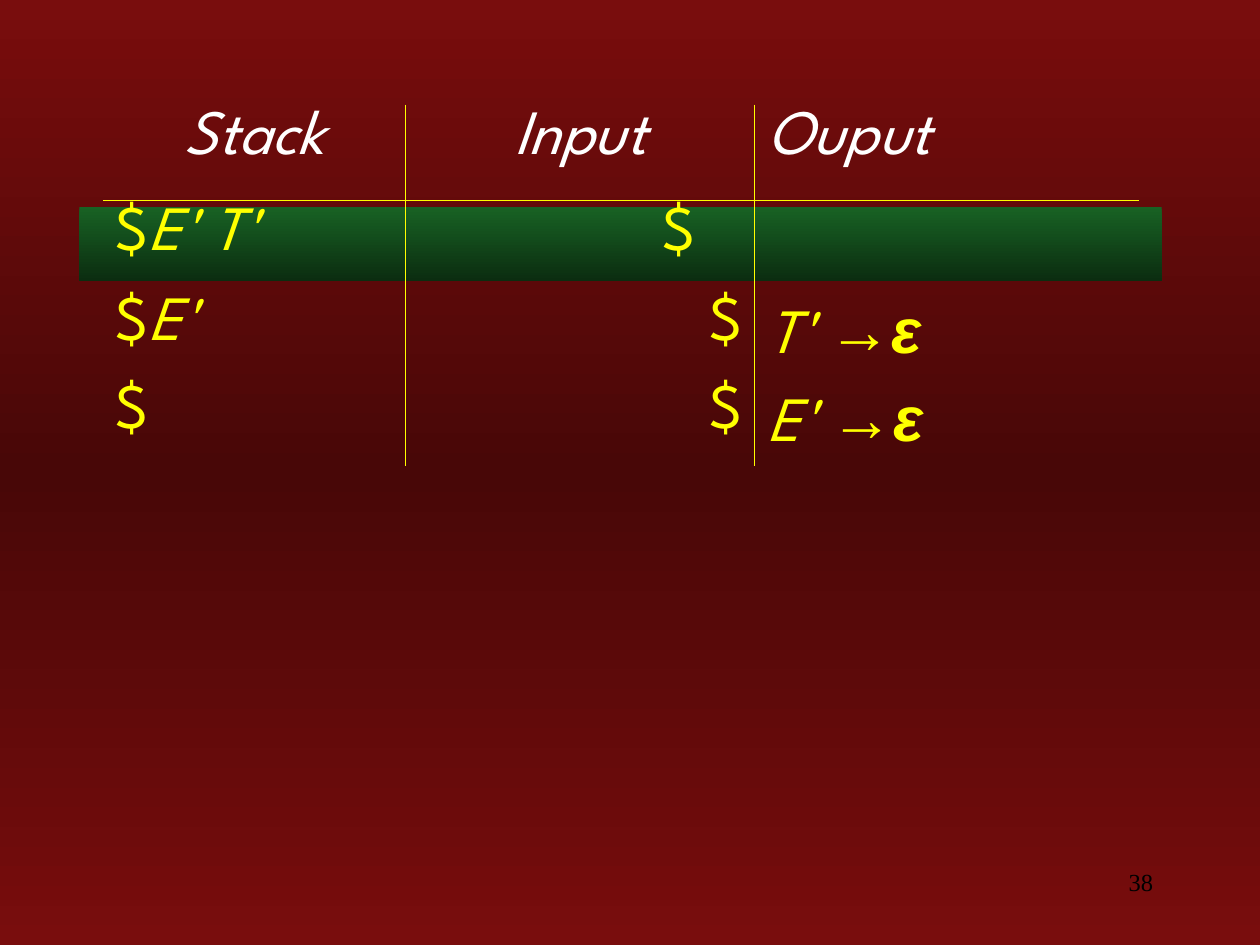
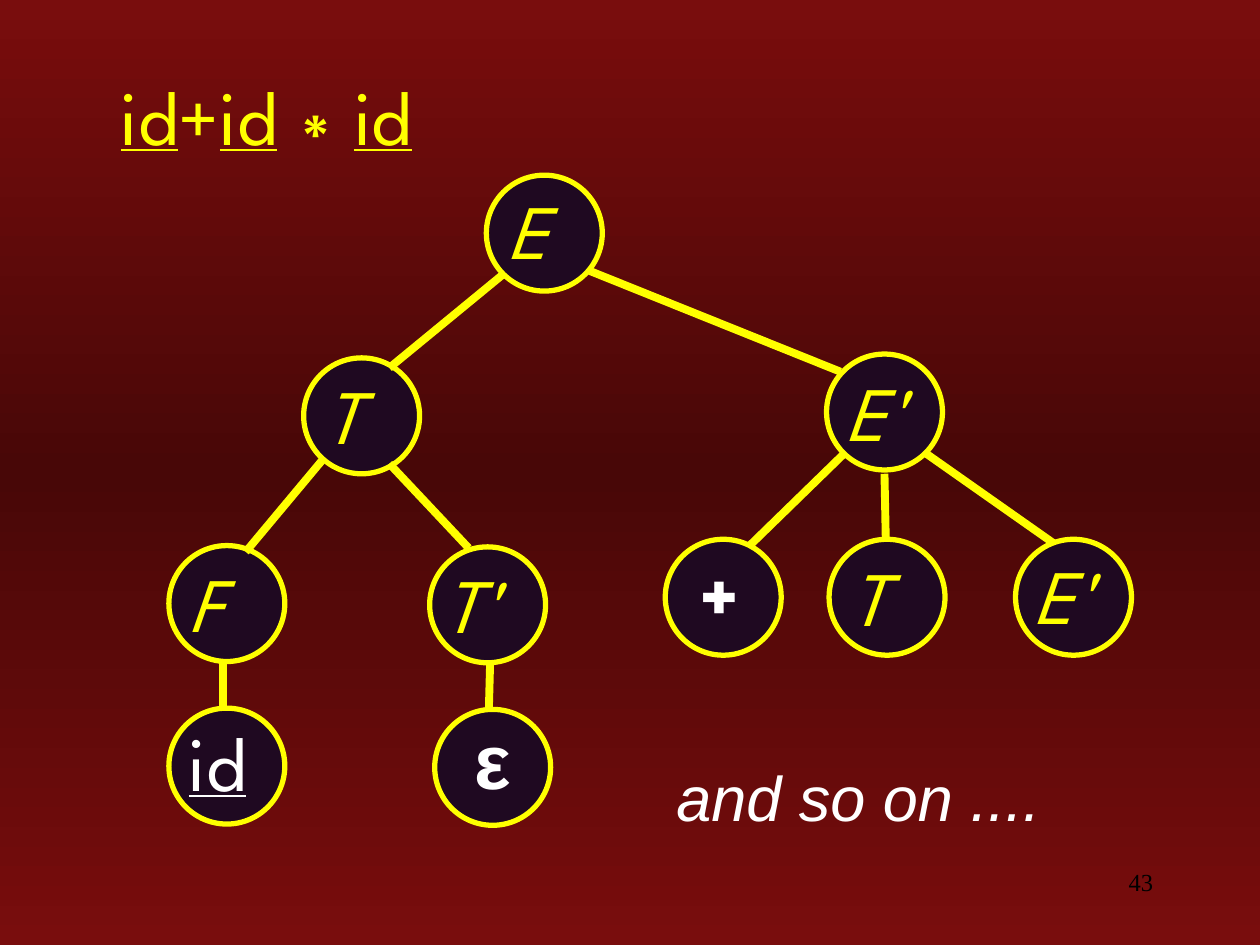
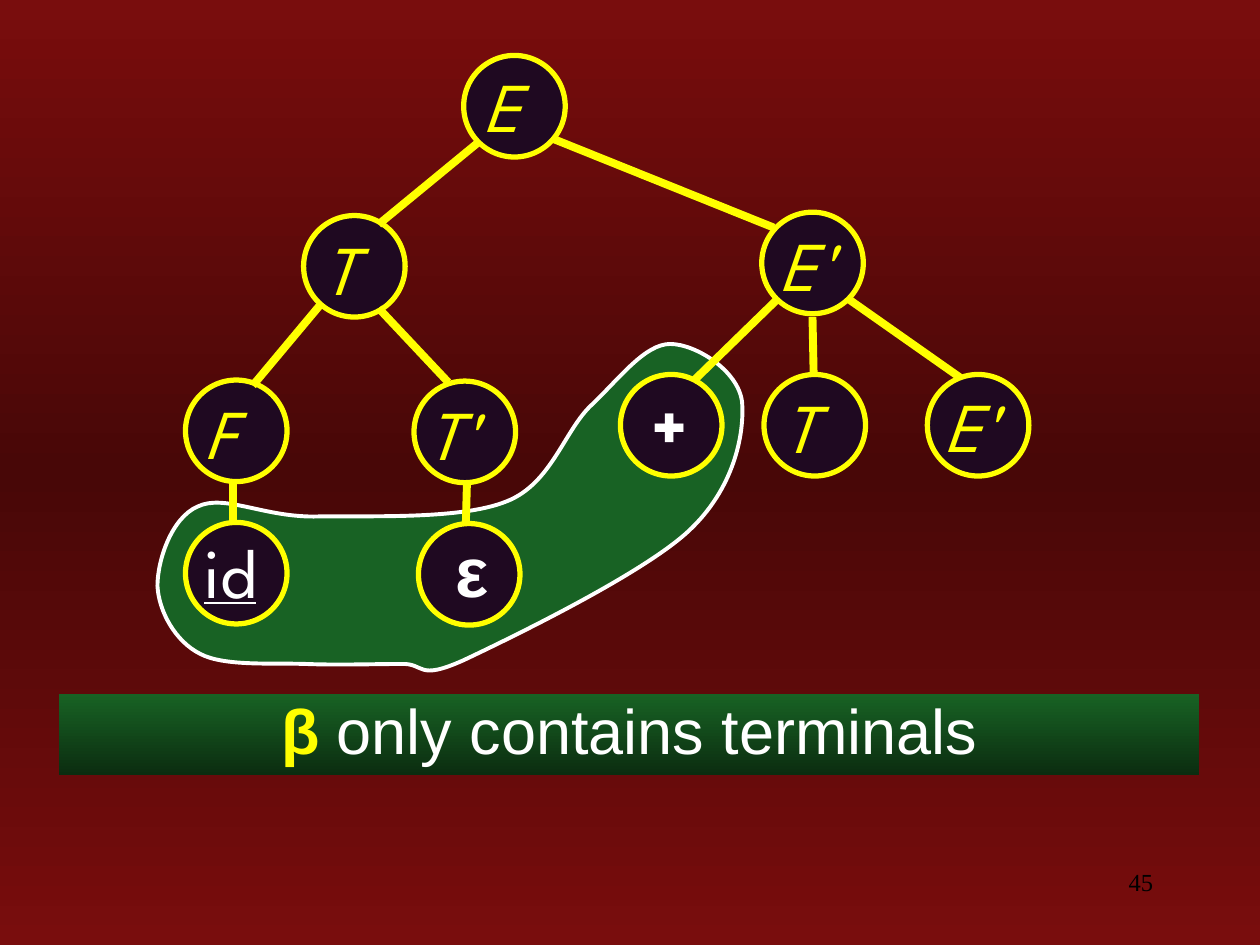
import copy

import pptx
import pptx.dml.color
import pptx.enum.shapes
import pptx.enum.text
import pptx.oxml
import pptx.oxml.ns
import pptx.util
from pptx.util import Inches, Pt

COLORS = {
    "yellow": "FFFF00", "white": "FFFFFF", "black": "000000",
    "red": "790D0D", "dark red": "480707",
    "green": "186224", "dark green": "0B2D10", "node": "1F0921",
}
SHAPE = pptx.enum.shapes.MSO_SHAPE
ALIGN = {"l": pptx.enum.text.PP_ALIGN.LEFT, "c": pptx.enum.text.PP_ALIGN.CENTER,
         "r": pptx.enum.text.PP_ALIGN.RIGHT}

# Text formats
DISPLAY = {"name": "League Spartan", "color": "yellow"}
SYMBOL = {"name": "Arial", "bold": True, "color": "yellow"}
ITALIC = {**DISPLAY, "italic": True}
HEADER = {**ITALIC, "color": "white"}
UNDERLINED = {**DISPLAY, "underline": True}
EPSILON_RULE = [("→", SYMBOL), ("ε", {**SYMBOL, "italic": True})]

# Slide 1: parse table, each cell a list of (text, format)
COLUMN_WIDTHS = [2.4, 2.77, 3.05]
ROW_HEIGHTS = [0.76, 0.71, 0.7, 0.7]
HEADER_ALIGN, BODY_ALIGN = "ccl", "lrl"
PARSE_ROWS = [
    [[("Stack", HEADER)], [("Input", HEADER)], [("Ouput", HEADER)]],
    [[("$", DISPLAY), ("E' T'", ITALIC)], [("$", DISPLAY)], []],
    [[("$", DISPLAY), ("E'", ITALIC)], [("$", DISPLAY)], [("T' ", ITALIC)] + EPSILON_RULE],
    [[("$", DISPLAY)], [("$", DISPLAY)], [("E' ", ITALIC)] + EPSILON_RULE],
]

# Slides 2 and 3: (label, circle left, top, label left, top, label format)
NODE_SIZE = 0.92
LABEL_WIDTHS = {"E'": 0.89, "T'": 0.89, "id": 1.1}
ROOT = (3.86, 1.39)
NODES = [
    ("E", *ROOT, 3.93, 1.4, ITALIC),
    ("T", 2.41, 2.84, 2.47, 2.87, ITALIC),
    ("E'", 6.56, 2.81, 6.61, 2.84, ITALIC),
    ("F", 1.34, 4.33, 1.4, 4.36, ITALIC),
    ("id", 1.34, 5.62, 1.4, 5.62, {**UNDERLINED, "color": "white"}),
    ("T'", 3.41, 4.34, 3.41, 4.37, ITALIC),
    ("ε", 3.45, 5.63, 3.67, 5.61, {**SYMBOL, "color": "white"}),
    ("E'", 8.06, 4.28, 8.1, 4.3, ITALIC),
    ("T", 6.58, 4.28, 6.64, 4.31, ITALIC),
    ("+", 5.28, 4.28, 5.45, 4.29, {**DISPLAY, "bold": True, "color": "white"}),
]
BRANCHES = [
    (3.99, 2.18, 3.09, 2.92), (4.68, 2.15, 6.67, 2.95),
    (2.56, 3.65, 1.95, 4.38), (3.09, 3.68, 3.72, 4.35),
    (1.77, 5.26, 1.77, 5.63), (3.89, 5.26, 3.88, 5.63),
    (7.35, 3.6, 8.36, 4.31), (6.7, 3.6, 5.94, 4.34), (7.02, 3.76, 7.03, 4.28),
]
EXPRESSION = [("id", UNDERLINED), ("+", DISPLAY), ("id", UNDERLINED),
              ("∗", {**DISPLAY, "name": "Arial"}), ("id", UNDERLINED)]

# Slide 3: outline around the terminals, cubic curves as (control, control, end)
SMALL_ROOT = (3.68, 0.44)
SMALL_SCALE = 3.68 / 4.2
TERMINALS_START = (3.68, 5.24)
TERMINALS_CURVES = [
    ((4.06, 5.06), (5.09, 4.56), (5.46, 4.22)),
    ((5.83, 3.88), (5.91, 3.44), (5.89, 3.19)),
    ((5.86, 2.94), (5.52, 2.73), (5.32, 2.73)),
    ((5.12, 2.73), (4.92, 3), (4.7, 3.21)),
    ((4.48, 3.41), (4.38, 3.84), (4.02, 3.98)),
    ((3.65, 4.13), (2.9, 4.09), (2.49, 4.1)),
    ((2.08, 4.1), (1.78, 3.92), (1.57, 4.02)),
    ((1.36, 4.11), (1.25, 4.45), (1.25, 4.65)),
    ((1.26, 4.85), (1.39, 5.09), (1.59, 5.19)),
    ((1.78, 5.29), (2.16, 5.26), (2.43, 5.27)),
    ((2.69, 5.28), (2.97, 5.27), (3.18, 5.27)),
    ((3.38, 5.26), (3.3, 5.41), TERMINALS_START),
]
CONCLUSION = [("β", SYMBOL),
              (" only contains terminals", {"name": "Arial", "color": "white"})]


def rgb(name):
    return pptx.dml.color.RGBColor.from_string(COLORS[name])


def box(*lengths):
    return [Inches(v) for v in lengths]


def gradient(fill, element, names):
    """Vertical gradient with evenly spaced colours."""
    fill.gradient()
    fill.gradient_angle = 270
    stops = element.find(".//" + pptx.oxml.ns.qn("a:gsLst"))
    for _ in names[2:]:
        stops.append(copy.deepcopy(stops[0]))
    for i, (stop, name) in enumerate(zip(fill.gradient_stops, names)):
        stop.color.rgb = rgb(name)
        stop.position = i / (len(names) - 1)


def write(tf, runs, size, align="l", **spacing):
    tf.word_wrap = True
    tf.vertical_anchor = pptx.enum.text.MSO_ANCHOR.TOP
    p = tf.paragraphs[0]
    p.alignment = ALIGN[align]
    for key, value in spacing.items():
        setattr(p, key, value)
    for text, style in runs:
        r = p.add_run()
        r.text = text
        r.font.size = Pt(size)
        for key, value in style.items():
            if key == "color":
                r.font.color.rgb = rgb(value)
            else:
                setattr(r.font, key, value)


def add_text(shapes, at, runs, size, align="l", **spacing):
    write(shapes.add_textbox(*box(*at)).text_frame, runs, size, align, **spacing)


def outline(sp, fill, line, width):
    sp.shadow.inherit = False
    sp.fill.solid()
    sp.fill.fore_color.rgb = rgb(fill)
    sp.line.color.rgb = rgb(line)
    sp.line.width = Pt(width)


def add_band(slide, *at):
    sp = slide.shapes.add_shape(SHAPE.RECTANGLE, *box(*at))
    sp.shadow.inherit = False
    sp.line.fill.background()
    gradient(sp.fill, sp.element, ["green", "dark green"])
    return sp


def add_number(slide, number):
    add_text(slide.shapes, (7.17, 6.83, 2.08, 0.5),
             [(number, {"name": "Times New Roman", "color": "black"})], 14, "r")


def add_borders(cell, sides):
    """Thin yellow borders on the given sides, none on the others."""
    tc_pr = cell._tc.get_or_add_tcPr()
    for side in "LRTB":
        paint = (f'<a:solidFill><a:srgbClr val="{COLORS["yellow"]}"/></a:solidFill>'
                 if side in sides else "<a:noFill/>")
        tc_pr.append(pptx.oxml.parse_xml(
            f'<a:ln{side} {pptx.oxml.ns.nsdecls("a")} w="{Pt(0.45)}">{paint}</a:ln{side}>'))


def add_parse_table(slide):
    rows, cols = len(ROW_HEIGHTS), len(COLUMN_WIDTHS)
    table = slide.shapes.add_table(
        rows, cols, *box(0.82, 0.83, sum(COLUMN_WIDTHS), sum(ROW_HEIGHTS))).table
    table.first_row = table.horz_banding = False
    for column, width in zip(table.columns, COLUMN_WIDTHS):
        column.width = Inches(width)
    for i, (row, cells) in enumerate(zip(table.rows, PARSE_ROWS)):
        row.height = Inches(ROW_HEIGHTS[i])
        for j, runs in enumerate(cells):
            cell = row.cells[j]
            align = (BODY_ALIGN if i else HEADER_ALIGN)[j]
            write(cell.text_frame, runs, 36, align, space_before=Pt(9))
            sides = ("L" if j else "") + ("R" if j < cols - 1 else "")
            add_borders(cell, sides + {0: "B", 1: "T"}.get(i, ""))
            cell.fill.background()
    table.cell(1, 1).margin_right = Inches(0.47)


def add_tree(shapes, size, root=ROOT, scale=1.0):
    """Draw the tree with its first node at root, each circle grouped with its label."""
    def place(x, y):
        return root[0] + (x - ROOT[0]) * scale, root[1] + (y - ROOT[1]) * scale

    for label, x, y, label_x, label_y, style in NODES:
        node = shapes.add_group_shape().shapes
        side = NODE_SIZE * scale
        sp = node.add_shape(SHAPE.OVAL, *box(*place(x, y), side, side))
        outline(sp, "node", "yellow", 3)
        width = LABEL_WIDTHS.get(label, 0.68) * scale
        add_text(node, (*place(label_x, label_y), width, 0.84 * scale),
                 [(label, style)], size)
    for x1, y1, x2, y2 in BRANCHES:
        line = shapes.add_connector(pptx.enum.shapes.MSO_CONNECTOR.STRAIGHT,
                                    *box(*place(x1, y1), *place(x2, y2)))
        line.line.color.rgb = rgb("yellow")
        line.line.width = Pt(4.5)
        line.element.spPr.append(pptx.oxml.parse_xml(
            f'<a:effectLst {pptx.oxml.ns.nsdecls("a")}/>'))


def add_terminals_outline(slide):
    builder = slide.shapes.build_freeform(*box(*TERMINALS_START))
    builder.add_line_segments([box(*point) for curve in TERMINALS_CURVES for point in curve])
    sp = builder.convert_to_shape()
    outline(sp, "green", "white", 2.25)
    # Turn every three segments into one cubic curve
    qn = pptx.oxml.ns.qn
    outline_path = sp.element.find(".//" + qn("a:path"))
    segments = outline_path.findall(qn("a:lnTo"))
    for i in range(0, len(segments), 3):
        curve = pptx.oxml.parse_xml(f'<a:cubicBezTo {pptx.oxml.ns.nsdecls("a")}/>')
        segments[i].addprevious(curve)
        for segment in segments[i:i + 3]:
            curve.append(segment[0])
            outline_path.remove(segment)


def main():
    prs = pptx.Presentation()
    prs.slide_width, prs.slide_height = box(10, 7.5)
    master = prs.slide_master
    gradient(master.background.fill, master.element, ["red", "dark red", "red"])
    section, blank = prs.slide_layouts[2], prs.slide_layouts[6]

    # Slide 1: last parsing steps
    slide = prs.slides.add_slide(blank)
    add_band(slide, 0.63, 1.64, 8.59, 0.59)
    add_parse_table(slide)
    add_number(slide, "38")

    # Slide 2: parse tree of the expression
    slide = prs.slides.add_slide(section)
    title, body = slide.placeholders
    title.element.getparent().remove(title.element)
    body.left, body.top, body.width, body.height = box(0.86, 0.49, 5.28, 0.98)
    write(body.text_frame, EXPRESSION, 44, space_before=Pt(11))
    add_tree(slide.shapes, 44)
    add_text(slide.shapes, (5.27, 5.97, 3.75, 0.7),
             [("and so on ....", {"name": "Arial", "italic": True, "color": "white"})],
             36, space_before=Pt(22.5))
    add_number(slide, "43")

    # Slide 3: the tree again, smaller, with its terminals marked
    slide = prs.slides.add_slide(blank)
    add_terminals_outline(slide)
    add_tree(slide.shapes.add_group_shape().shapes, 40, SMALL_ROOT, SMALL_SCALE)
    band = add_band(slide, 0.47, 5.51, 9.05, 0.64)
    write(band.text_frame, CONCLUSION, 36, "c", line_spacing=0.9)
    add_number(slide, "45")

    prs.save("out.pptx")


if __name__ == "__main__":
    main()
